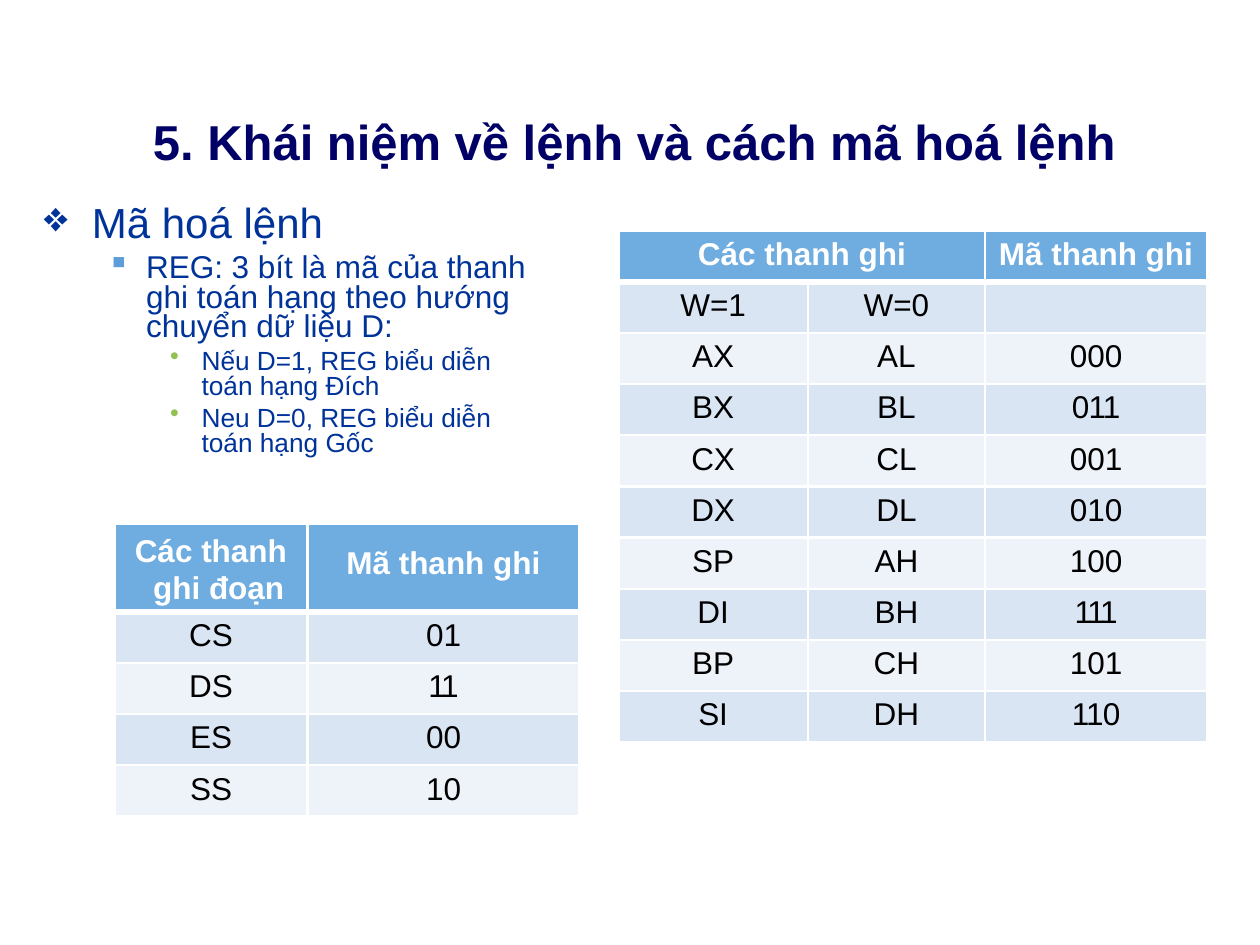
"""Build the slide on instruction encoding with its two register code tables."""
from lxml.etree import SubElement
from pptx import Presentation
from pptx.dml.color import RGBColor
from pptx.enum.text import PP_ALIGN as Align
from pptx.oxml.ns import qn
from pptx.util import Pt

TITLE = "5. Khái niệm về lệnh và cách mã hoá lệnh"
OUTLINE = [
    (0, "Mã hoá lệnh"),
    (1, "REG: 3 bít là mã của thanh ghi toán hạng theo hướng chuyển dữ liệu D:"),
    (2, "Nếu D=1, REG biểu diễn toán hạng Đích"),
    (2, "Neu D=0, REG biểu diễn toán hạng Gốc"),
]
LEVELS = [
    {"size": 24, "margin": 28, "hang": 27.4, "bullet": "❖", "tint": "003399",
     "spacing": {"line_spacing": Pt(28.6), "space_before": Pt(1)}},
    {"size": 18, "margin": 59, "hang": 22.3, "bullet": "▪", "tint": "5E9CDA",
     "spacing": {"line_spacing": 0.78, "space_before": Pt(4.6)}},
    {"size": 15, "margin": 90.7, "hang": 18, "bullet": "•", "tint": "93C052",
     "spacing": {"line_spacing": 0.8, "space_before": Pt(3.7)}},
]
SEGMENTS = {
    "at": (65.5, 299.5), "columns": [110.2, 155.5], "header_height": 50.1,
    "rows": [("Các thanh ghi đoạn", "Mã thanh ghi"),
             ("CS", "01"), ("DS", "11"), ("ES", "00"), ("SS", "10")],
}
REGISTERS = {
    "at": (353.5, 131.8), "columns": [108, 101.5, 126.7], "header_height": 29.25,
    "rows": [("Các thanh ghi", "", "Mã thanh ghi"), ("W=1", "W=0", ""),
             ("AX", "AL", "000"), ("BX", "BL", "011"), ("CX", "CL", "001"),
             ("DX", "DL", "010"), ("SP", "AH", "100"), ("DI", "BH", "111"),
             ("BP", "CH", "101"), ("SI", "DH", "110")],
}
ROW_HEIGHT = 29.25
HEADER_FILL, BANDS = "6FADE1", ("EEF2F9", "DAE5F4")
TIGHT_CODES = {"11": -140, "111": -140, "011": -50, "110": -50}


def color(code):
    return RGBColor.from_string(code)


def apply(target, formats):
    for name, value in formats.items():
        setattr(target, name, value)


def write(paragraph, text, size, ink, bold=False):
    run = paragraph.add_run()
    run.text = text
    apply(run.font, {"name": "Arial", "size": Pt(size), "bold": bold})
    run.font.color.rgb = color(ink)
    return run


def indent(paragraph, margin, hang):
    props = paragraph._p.get_or_add_pPr()
    props.set("marL", str(Pt(margin)))
    props.set("indent", str(-Pt(hang)))
    return props


def add_frame(slide, left, top, width, height, wrap):
    frame = slide.shapes.add_textbox(Pt(left), Pt(top), Pt(width), Pt(height)).text_frame
    apply(frame, {"margin_left": 0, "margin_right": 0, "margin_bottom": 0,
                  "margin_top": Pt(1), "word_wrap": wrap})
    return frame


def add_outline(slide):
    frame = add_frame(slide, 24.5, 111.6, 278, 150.5, True)
    for index, (depth, text) in enumerate(OUTLINE):
        level = LEVELS[depth]
        paragraph = frame.add_paragraph() if index else frame.paragraphs[0]
        apply(paragraph, {"level": depth, **level["spacing"]})
        props = indent(paragraph, level["margin"], level["hang"])
        tint = SubElement(props, qn("a:buClr"))
        SubElement(tint, qn("a:srgbClr"), val=level["tint"])
        SubElement(props, qn("a:buChar"), char=level["bullet"])
        write(paragraph, text, level["size"], "003399")


def add_borders(cell, row):
    props = cell._tc.get_or_add_tcPr()
    widths = {"L": 1.5, "R": 1.5, "T": 4.25 if row == 1 else 1.5,
              "B": 1.5 if row else 4.25}
    for side, width in widths.items():
        line = SubElement(props, qn(f"a:ln{side}"), w=str(Pt(width)))
        SubElement(SubElement(line, qn("a:solidFill")), qn("a:srgbClr"), val="FFFFFF")


def fill_cell(cell, text, row, top):
    add_borders(cell, row)
    cell.fill.solid()
    cell.fill.fore_color.rgb = color(BANDS[row % 2] if row else HEADER_FILL)
    apply(cell, {"margin_left": 0, "margin_right": 0, "margin_bottom": 0,
                 "margin_top": Pt(top)})
    if not text:
        return
    paragraph = cell.text_frame.paragraphs[0]
    apply(paragraph, {"alignment": Align.CENTER, "space_before": Pt(top)})
    run = write(paragraph, text, 18, "000000" if row else "FFFFFF", row == 0)
    if text in TIGHT_CODES:
        run.font._element.set("spc", str(TIGHT_CODES[text]))


def add_codes(slide, codes):
    rows, columns = codes["rows"], codes["columns"]
    heights = [codes["header_height"]] + [ROW_HEIGHT] * (len(rows) - 1)
    box = (*codes["at"], sum(columns), sum(heights))
    table = slide.shapes.add_table(len(rows), len(columns), *map(Pt, box)).table
    for column, width in zip(table.columns, columns):
        column.width = Pt(width)
    for row, (texts, height) in enumerate(zip(rows, heights)):
        table.rows[row].height = Pt(height)
        for column, text in enumerate(texts):
            top = 12.6 if height > ROW_HEIGHT else 3.6
            fill_cell(table.cell(row, column), text, row, top)
    return table


def main():
    deck = Presentation()
    apply(deck, {"slide_width": Pt(720), "slide_height": Pt(540)})
    slide = deck.slides.add_slide(deck.slide_layouts[6])
    heading = add_frame(slide, 86.4, 62.6, 553, 35.3, False).paragraphs[0]
    indent(heading, 1, 0)
    heading.space_before = Pt(1)
    write(heading, TITLE, 28, "000066", True)
    add_outline(slide)

    segment_header = add_codes(slide, SEGMENTS).cell(0, 0)
    segment_header.margin_top = Pt(4.8)
    segment_title = segment_header.text_frame.paragraphs[0]
    apply(segment_title, {"alignment": Align.LEFT, "line_spacing": Pt(21),
                          "space_before": Pt(4.8)})
    indent(segment_title, 22, 10.5)

    registers = add_codes(slide, REGISTERS)
    registers.cell(0, 0).merge(registers.cell(0, 1))
    deck.save("out.pptx")


if __name__ == "__main__":
    main()
